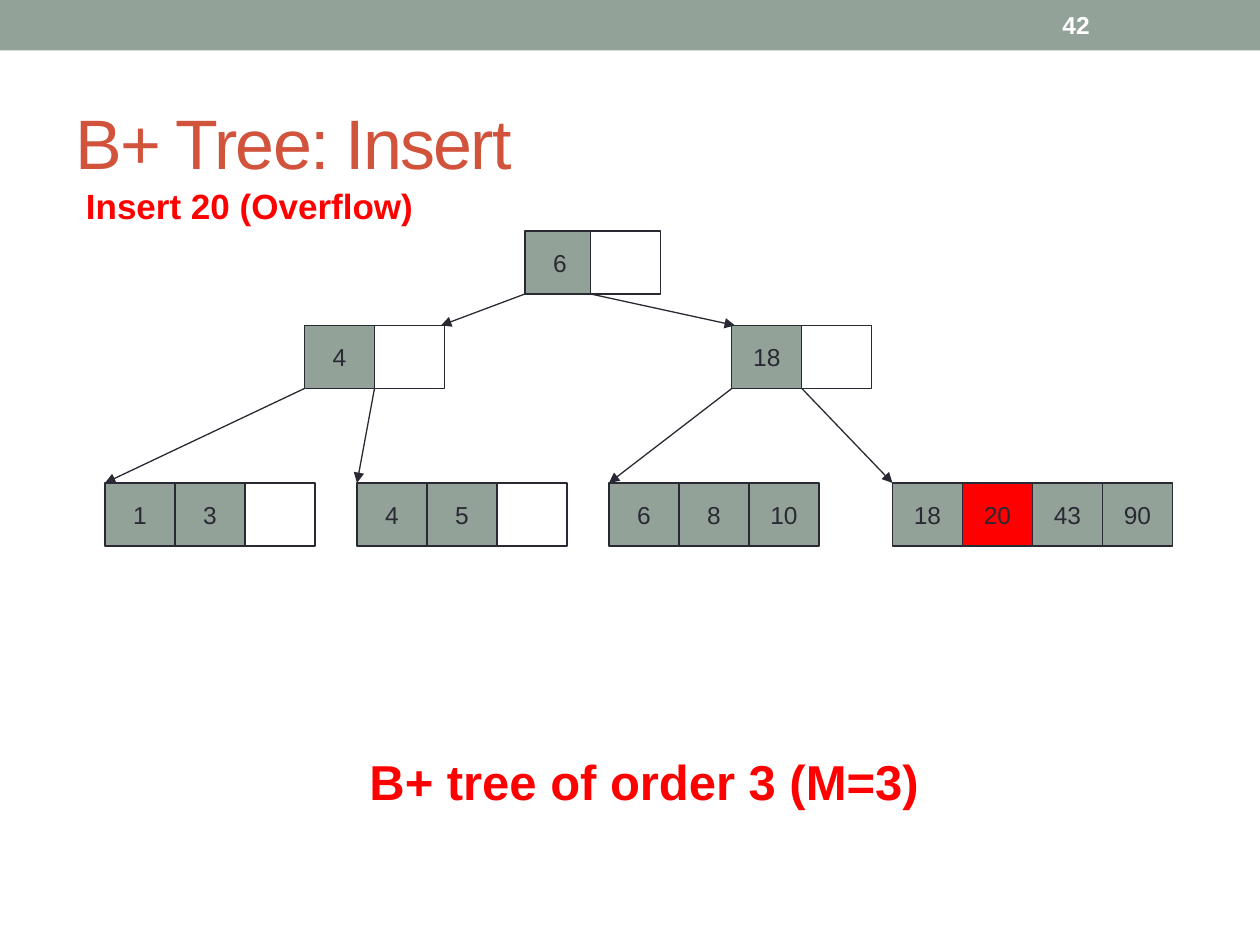
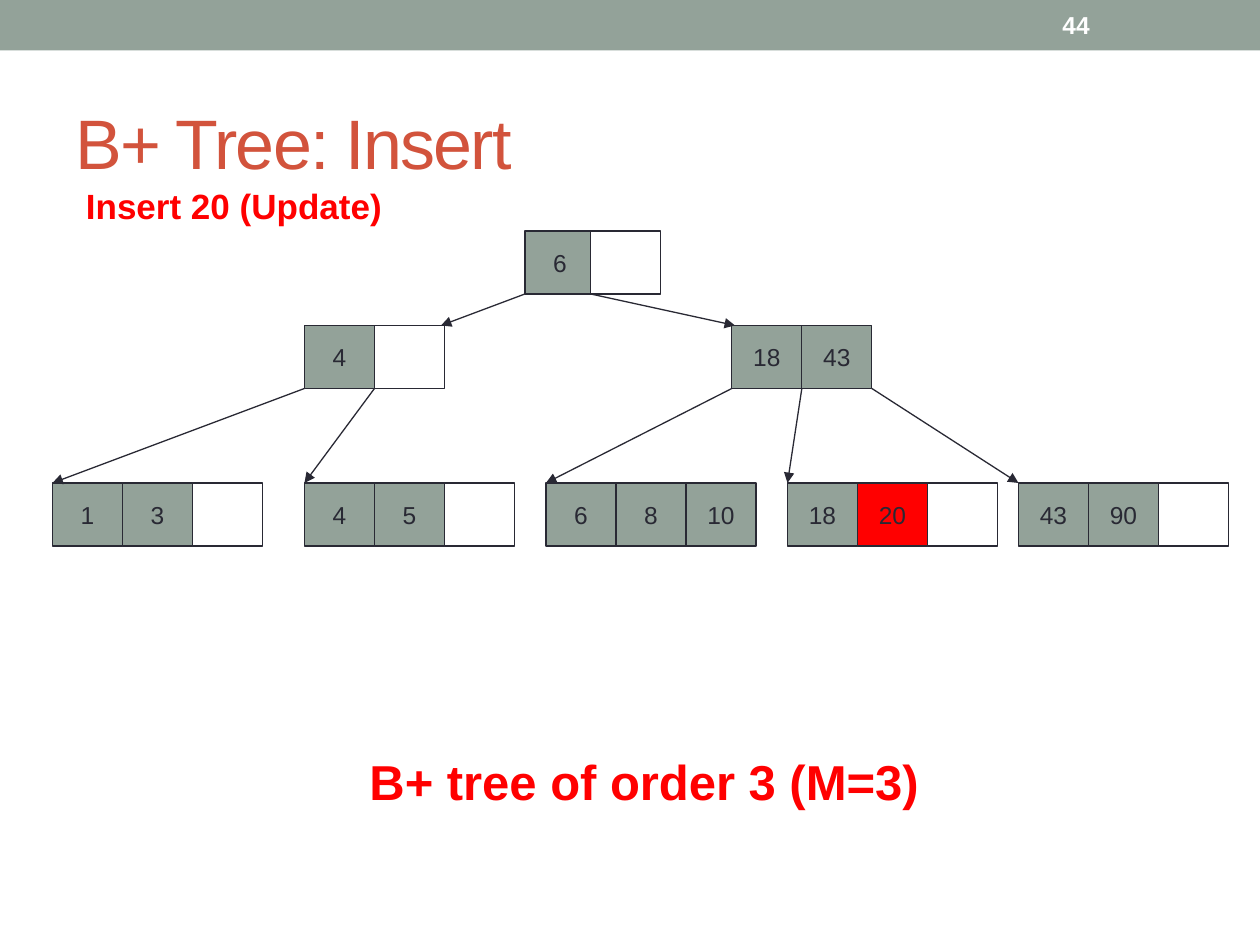
import dataclasses

import lxml.etree
import pptx
import pptx.dml.color
import pptx.enum.shapes
import pptx.enum.text
import pptx.oxml.ns
import pptx.util

SAGE = pptx.dml.color.RGBColor(0x93, 0xA2, 0x99)
RUST = pptx.dml.color.RGBColor(0xD2, 0x53, 0x3C)
INK = pptx.dml.color.RGBColor(0x29, 0x29, 0x34)
RED = pptx.dml.color.RGBColor(0xFF, 0x00, 0x00)
WHITE = pptx.dml.color.RGBColor(0xFF, 0xFF, 0xFF)
FONT = "Arial"
LINE_WIDTH = pptx.util.Pt(0.75)
MIDDLE = pptx.enum.text.MSO_ANCHOR.MIDDLE
RECTANGLE = pptx.enum.shapes.MSO_SHAPE.RECTANGLE

# The grid has 12 units to the inch: 120 columns by 90 rows.
COLUMNS, ROWS = 120, 90
CELL_WIDTH, CELL_HEIGHT = 20 / 3, 6
ROOT_ROW, BRANCH_ROW, LEAF_ROW = 22, 31, 46
NEW_KEY = "20"


@dataclasses.dataclass
class Node:
    left: float
    top: float
    keys: list
    step: float = CELL_WIDTH

    def pointer(self, slot):
        """Grid point under the border before the given key slot."""
        return self.left + slot * self.step, self.top + CELL_HEIGHT


def grid(*units):
    return [pptx.util.Inches(unit / 12) for unit in units]


def add_span(para, text, size, color, bold=False):
    span = para.add_run()
    span.text = text
    span.font.name = FONT
    span.font.size = pptx.util.Pt(size)
    span.font.bold = bold
    span.font.color.rgb = color
    return span


def add_rectangle(shapes, area, fill):
    box = shapes.add_shape(RECTANGLE, *grid(*area))
    box.shadow.inherit = False
    box.fill.solid()
    box.fill.fore_color.rgb = fill
    return box


def add_label(page, area, text, size, color):
    """Bold text on one line in a box that fits it."""
    frame = page.shapes.add_textbox(*grid(*area)).text_frame
    frame.word_wrap = False
    frame.auto_size = pptx.enum.text.MSO_AUTO_SIZE.SHAPE_TO_FIT_TEXT
    add_span(frame.paragraphs[0], text, size, color, bold=True)


def add_header(page, number):
    """Band, slide number and title shared by all slides."""
    band = add_rectangle(page.shapes, (0, 0, COLUMNS, 4.8), SAGE)
    band.line.fill.background()

    frame = page.shapes.add_textbox(*grid(100, 0.25, 14, 4.3)).text_frame
    frame.word_wrap = True
    frame.vertical_anchor = MIDDLE
    add_span(frame.paragraphs[0], number, 14, WHITE, bold=True)

    title = page.shapes.title
    title.left, title.top, title.width, title.height = grid(6, 7, 108, 13)
    frame = title.text_frame
    frame.auto_size = pptx.enum.text.MSO_AUTO_SIZE.NONE
    frame.vertical_anchor = MIDDLE
    para = frame.paragraphs[0]
    para.alignment = pptx.enum.text.PP_ALIGN.LEFT
    span = add_span(para, "B+ Tree: Insert", 40, RUST)
    span._r.get_or_add_rPr().set("spc", "-100")


def key_fill(key):
    if not key:
        return WHITE
    return RED if key == NEW_KEY else SAGE


def add_node(page, node):
    """Row of key cells; an empty key gives a white cell."""
    group = page.shapes.add_group_shape()
    for slot, key in enumerate(node.keys):
        area = (node.left + slot * node.step, node.top, CELL_WIDTH, CELL_HEIGHT)
        box = add_rectangle(group.shapes, area, key_fill(key))
        box.line.color.rgb = INK
        box.line.width = LINE_WIDTH
        if key:
            frame = box.text_frame
            frame.word_wrap = False
            frame.vertical_anchor = MIDDLE
            para = frame.paragraphs[0]
            para.alignment = pptx.enum.text.PP_ALIGN.CENTER
            add_span(para, key, 14, INK)


def add_arrow(page, start, end):
    arrow = page.shapes.add_connector(
        pptx.enum.shapes.MSO_CONNECTOR.STRAIGHT, *grid(*start, *end))
    arrow.line.color.rgb = INK
    arrow.line.width = LINE_WIDTH
    properties = arrow._element.spPr
    qn = pptx.oxml.ns.qn
    lxml.etree.SubElement(properties.find(qn("a:ln")), qn("a:tailEnd"), type="triangle")
    lxml.etree.SubElement(properties, qn("a:effectLst"))


def add_tree(page, right_keys, left_leaves, right_leaves):
    """Root, two branches and the leaves, given as (left, keys) pairs."""
    root = Node(50, ROOT_ROW, ["6", ""], step=6.25)
    left_branch = Node(29, BRANCH_ROW, ["4", ""])
    right_branch = Node(69.7, BRANCH_ROW, right_keys)
    families = [(left_branch, left_leaves), (right_branch, right_leaves)]

    for node in (root, left_branch, right_branch):
        add_node(page, node)
    for slot, tip in enumerate((42, 70)):
        add_arrow(page, root.pointer(slot), (tip, BRANCH_ROW))
    for branch, leaves in families:
        for slot, (left, keys) in enumerate(leaves):
            add_node(page, Node(left, LEAF_ROW, keys))
            add_arrow(page, branch.pointer(slot), (left, LEAF_ROW))


def add_page(deck, number, stage, right_keys, left_leaves, right_leaves):
    page = deck.slides.add_slide(deck.slide_layouts.get_by_name("Title Only"))
    add_header(page, number)
    add_label(page, (34, 71, 59.2, 6.8), "B+ tree of order 3 (M=3)", 28, RED)
    add_label(page, (7, 17, 34, 5.3), f"Insert 20 ({stage})", 20, RED)
    add_tree(page, right_keys, left_leaves, right_leaves)


def main():
    deck = pptx.Presentation()
    deck.slide_width, deck.slide_height = grid(COLUMNS, ROWS)
    add_page(
        deck, "42", "Overflow", ["18", ""],
        [(10, ["1", "3", ""]), (34, ["4", "5", ""])],
        [(58, ["6", "8", "10"]), (85, ["18", "20", "43", "90"])])
    add_page(
        deck, "44", "Update", ["18", "43"],
        [(5, ["1", "3", ""]), (29, ["4", "5", ""])],
        [(52, ["6", "8", "10"]), (75, ["18", "20", ""]), (97, ["43", "90", ""])])
    deck.save("out.pptx")


if __name__ == "__main__":
    main()
